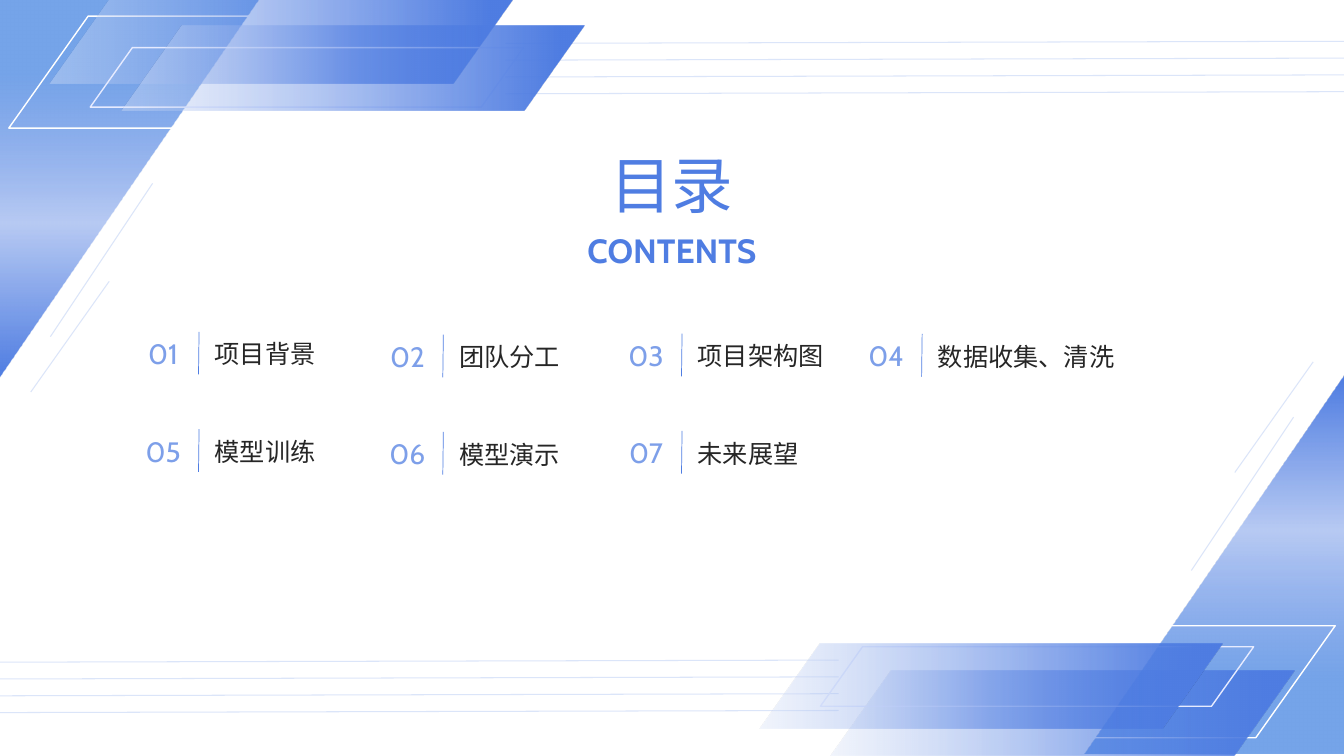
"""Build the contents slide with two mirrored corner ornaments."""
from lxml import etree
from pptx import Presentation
from pptx.dml.color import RGBColor
from pptx.enum.shapes import MSO_CONNECTOR, MSO_SHAPE
from pptx.enum.text import MSO_ANCHOR, PP_ALIGN
from pptx.oxml import parse_xml
from pptx.oxml.ns import nsdecls, qn
from pptx.util import Pt

CENTER, LEFT = PP_ALIGN.CENTER, PP_ALIGN.LEFT
TOP = MSO_ANCHOR.TOP
STRAIGHT = MSO_CONNECTOR.STRAIGHT
TRIANGLE, SLANTED = MSO_SHAPE.RIGHT_TRIANGLE, MSO_SHAPE.PARALLELOGRAM
C = {"blue": "4F7DE2", "sky": "75A4E9", "pale": "DCE5F9", "mist": "E6EBFF",
     "white": "FFFFFF", "number": "7D9FE9", "ink": "262626"}
FONT = "Cabin"
W, H = 960, 538.5
TRIANGLE_FILL = (270, [(19, "sky", 100), (59, "blue", 40), (100, "blue", 100)])
BAND_FILL = (180, [(5, "blue", 100), (50, "blue", 51), (100, "pale", 38)])

prs = Presentation()
prs.slide_width, prs.slide_height = Pt(W), Pt(540)
s = prs.slides.add_slide(prs.slide_layouts[5])


def add_line(x1, y1, x2, y2, width, alpha=100):
    ln = s.shapes.add_connector(STRAIGHT, Pt(x1), Pt(y1), Pt(x2), Pt(y2))
    ln.line.color.rgb = RGBColor.from_string(C["blue"])
    ln.line.width = Pt(width)
    clr = ln.line.fill._xPr.find(".//" + qn("a:srgbClr"))
    etree.SubElement(clr, qn("a:alpha"), val=str(alpha * 1000))
    etree.SubElement(ln._element.spPr, qn("a:effectLst"))


def set_text(sp, text, size, color, align=CENTER, bold=False):
    tf = sp.text_frame
    tf.word_wrap = True
    tf.vertical_anchor = TOP
    tf.margin_left = tf.margin_right = Pt(7.2)
    tf.margin_top = tf.margin_bottom = Pt(3.6)
    p = tf.paragraphs[0]
    p.text = text
    p.alignment = align
    p.font.size, p.font.name, p.font.bold = Pt(size), FONT, bold
    p.font.color.rgb = RGBColor.from_string(C[color])


rules = [(W, 29.5 + 12 * i, 361, 31 + 12 * i) for i in range(4)]
diagonals = [(78, 201, 22, 280), (109, 131, 36, 240.5)]
ornaments = [
    (TRIANGLE, 0, 0, 185, 270, TRIANGLE_FILL, None),
    (SLANTED, 6.3, 11.5, 298, 80, None, "white"),
    (SLANTED, 35.5, -1.2, 331, 61, BAND_FILL, None),
    (SLANTED, 64.5, 34, 309.5, 42.5, None, "mist"),
    (SLANTED, 86.5, 18, 331, 61, BAND_FILL, None),
]
for mirrored in (False, True):
    for i, rule in enumerate(rules):
        x1, y1, x2, y2 = rule
        if mirrored:
            x1, y1, x2, y2 = W - x1, H - y1, W - x2, H - y2
        add_line(x1, y1, x2, y2, 0.75, 20)
    for kind, x, y, w, h, gradient, outline in ornaments:
        if mirrored:
            x, y = W - x - w, H - y - h
        sp = s.shapes.add_shape(kind, Pt(x), Pt(y), Pt(w), Pt(h))
        sp.shadow.inherit = False
        if kind == TRIANGLE:
            sp._element.spPr.xfrm.set("flipH" if mirrored else "flipV", "1")
        else:
            sp.adjustments[0] = 0.709
        if gradient:
            angle, stops = gradient
            gs = "".join(
                f'<a:gs pos="{pos * 1000}"><a:srgbClr val="{C[color]}">'
                f'<a:alpha val="{alpha * 1000}"/></a:srgbClr></a:gs>'
                for pos, color, alpha in stops)
            sp._element.spPr.find(qn("a:prstGeom")).addnext(parse_xml(
                f'<a:gradFill {nsdecls("a")} rotWithShape="0"><a:gsLst>{gs}</a:gsLst>'
                f'<a:lin ang="{angle * 60000}" scaled="0"/></a:gradFill>'))
            sp.line.fill.background()
        else:
            sp.fill.background()
            sp.line.color.rgb = RGBColor.from_string(C[outline])
            sp.line.width = Pt(1)
        if outline == "mist":
            for x1, y1, x2, y2 in diagonals:
                if mirrored:
                    x1, y1, x2, y2 = W - x1, H - y1, W - x2, H - y2
                add_line(x1, y1, x2, y2, 0.75, 20)

title = s.shapes.title
title.left, title.top, title.width, title.height = Pt(414), Pt(101), Pt(132), Pt(60.5)
set_text(title, "目录", 44, "blue")
subtitle = s.shapes.add_textbox(Pt(374.5), Pt(160.5), Pt(211), Pt(36))
set_text(subtitle, "CONTENTS", 24, "blue", bold=True)

columns = [(86.5, 237), (261, 239), (431.5, 238.3), (603, 238.5)]
topics = ["项目背景", "团队分工", "项目架构图", "数据收集、清洗",
          "模型训练", "模型演示", "未来展望"]
for i, topic in enumerate(topics):
    row, col = divmod(i, len(columns))
    x, y = columns[col]
    y += 69.5 * row
    number = s.shapes.add_textbox(Pt(x), Pt(y), Pt(60), Pt(31.5))
    set_text(number, f"{i + 1:02}", 20, "number")
    add_line(x + 55.7, y, x + 55.3, y + 30.5, 0.5)
    label = s.shapes.add_textbox(Pt(x + 59.8), Pt(y + 1.4), Pt(146), Pt(29))
    set_text(label, topic, 18, "ink", LEFT)

prs.save("out.pptx")
